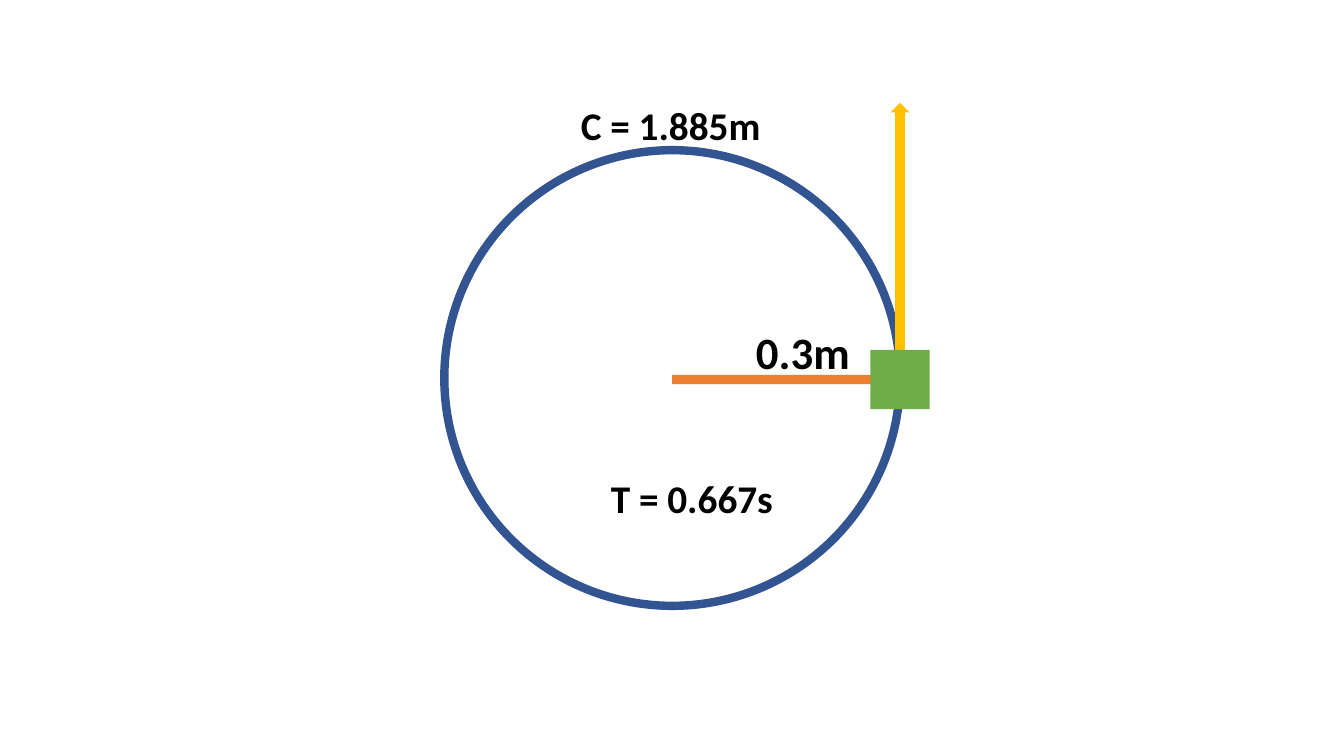
from dataclasses import dataclass

from pptx import Presentation
from pptx.dml.color import RGBColor
from pptx.enum.shapes import MSO_SHAPE
from pptx.enum.text import MSO_AUTO_SIZE
from pptx.util import Inches, Pt

RECTANGLE, OVAL, UP_ARROW = MSO_SHAPE.RECTANGLE, MSO_SHAPE.OVAL, MSO_SHAPE.UP_ARROW
FIT_SHAPE = MSO_AUTO_SIZE.SHAPE_TO_FIT_TEXT

COLORS = {
    "orbit": "325491",
    "radius": "ED7D31",
    "velocity": "FFC000",
    "body": "70AD47",
    "label": "000000",
}
FONT = "Calibri"

# Square grid of 160 columns by 90 rows
COLUMNS, ROWS = 160, 90
SLIDE_WIDTH, SLIDE_HEIGHT = Inches(13.33), Inches(7.5)
CELL = SLIDE_HEIGHT / ROWS

CENTER_X, CENTER_Y = COLUMNS / 2, ROWS / 2
RADIUS = 27.12
BODY_X, BODY_Y = CENTER_X + RADIUS, CENTER_Y + 0.18
BODY_SIDE = 7.08
ARROW_TOP, ARROW_LENGTH = 12.24, 33.36


@dataclass(frozen=True)
class Box:
    """Area on the grid, placed by its centre."""
    x: float
    y: float
    width: float
    height: float

    def emu(self) -> tuple[int, int, int, int]:
        left, top = self.x - self.width / 2, self.y - self.height / 2
        return tuple(round(v * CELL) for v in (left, top, self.width, self.height))


@dataclass(frozen=True)
class Figure:
    kind: MSO_SHAPE
    box: Box
    color: str
    outline: float = 0


@dataclass(frozen=True)
class Label:
    text: str
    box: Box
    size: int


RADIUS_BAR = Figure(RECTANGLE, Box(CENTER_X + RADIUS / 2, BODY_Y, RADIUS, 1.08), "radius")
ORBIT = Figure(OVAL, Box(CENTER_X, CENTER_Y, 2 * RADIUS, 2 * RADIUS), "orbit", 6)
VELOCITY = Figure(
    UP_ARROW, Box(BODY_X, ARROW_TOP + ARROW_LENGTH / 2, 2.28, ARROW_LENGTH), "velocity"
)
BODY = Figure(RECTANGLE, Box(BODY_X, BODY_Y, BODY_SIDE, BODY_SIDE), "body")

RADIUS_LABEL = Label("0.3m", Box(95.64, 41.88, 13.68, 7.68), 32)
CIRCUMFERENCE_LABEL = Label("C = 1.885m", Box(CENTER_X, 14.94, 24.12, 6.84), 28)
PERIOD_LABEL = Label("T = 0.667s", Box(82.5, 59.34, 21.96, 6.84), 28)

BACK_TO_FRONT = (
    RADIUS_BAR, ORBIT, RADIUS_LABEL, VELOCITY, BODY, CIRCUMFERENCE_LABEL, PERIOD_LABEL,
)


def rgb(name: str) -> RGBColor:
    return RGBColor.from_string(COLORS[name])


def draw_figure(slide, figure: Figure) -> None:
    """Draw an outline only when a line width is given, else a plain fill."""
    shape = slide.shapes.add_shape(figure.kind, *figure.box.emu())
    shape.shadow.inherit = False
    if figure.outline:
        shape.fill.background()
        shape.line.color.rgb = rgb(figure.color)
        shape.line.width = Pt(figure.outline)
    else:
        shape.fill.solid()
        shape.fill.fore_color.rgb = rgb(figure.color)
        shape.line.fill.background()


def draw_label(slide, label: Label) -> None:
    frame = slide.shapes.add_textbox(*label.box.emu()).text_frame
    frame.word_wrap = False
    frame.auto_size = FIT_SHAPE
    paragraph = frame.paragraphs[0]
    paragraph.text = label.text
    font = paragraph.font
    font.name, font.size, font.bold = FONT, Pt(label.size), True
    font.color.rgb = rgb("label")


def main() -> None:
    deck = Presentation()
    deck.slide_width, deck.slide_height = SLIDE_WIDTH, SLIDE_HEIGHT
    slide = deck.slides.add_slide(deck.slide_layouts[6])
    for element in BACK_TO_FRONT:
        if isinstance(element, Label):
            draw_label(slide, element)
        else:
            draw_figure(slide, element)
    deck.save("out.pptx")


if __name__ == "__main__":
    main()
